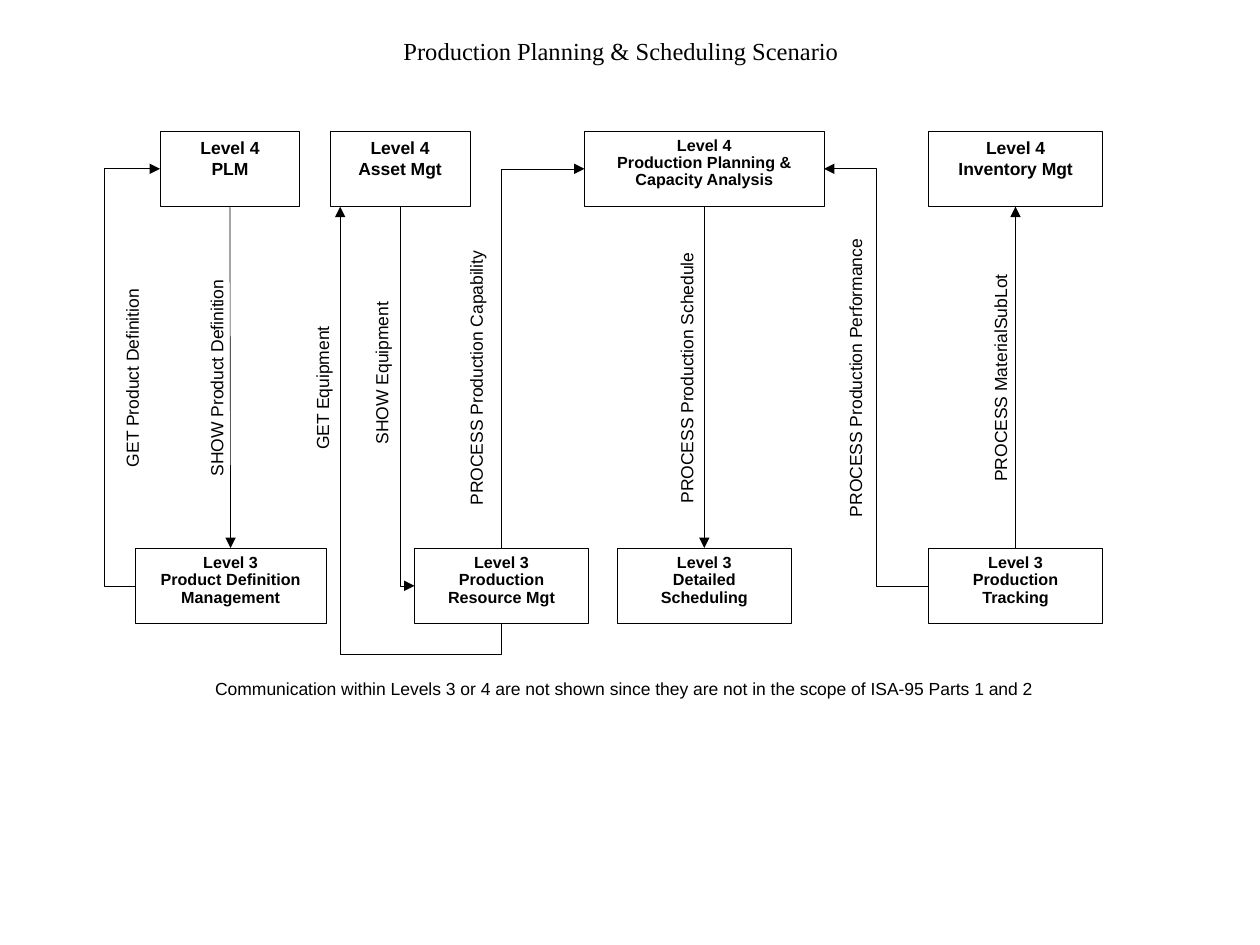
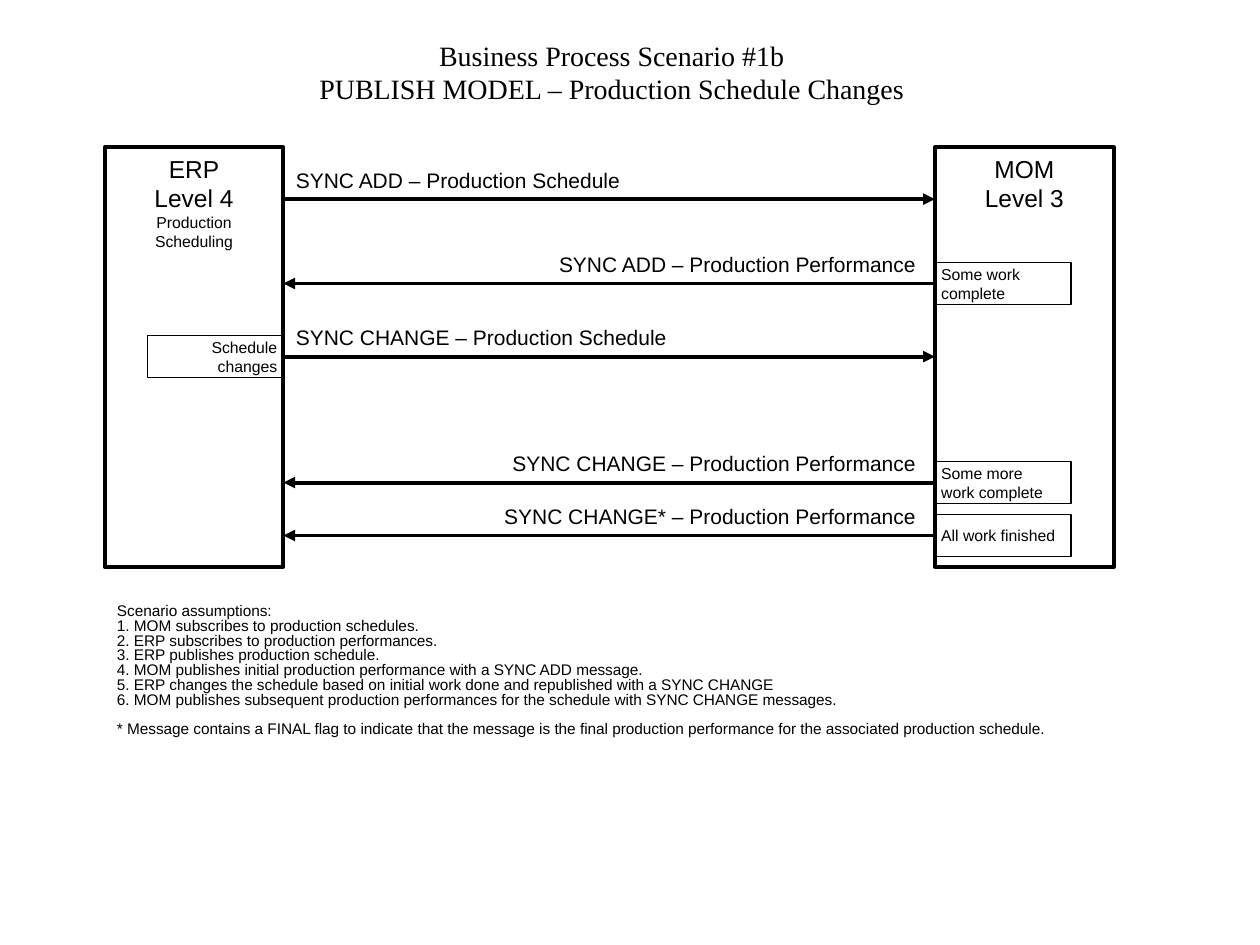
"""Builds two slides on production planning and schedule change messages."""
from dataclasses import dataclass

from lxml.etree import SubElement
from pptx import Presentation
from pptx.dml.color import RGBColor
from pptx.enum.shapes import MSO_CONNECTOR as CONNECTOR, MSO_SHAPE as SHAPE
from pptx.enum.text import MSO_ANCHOR as ANCHOR, MSO_AUTO_SIZE as AUTO_SIZE, PP_ALIGN as ALIGN
from pptx.oxml.ns import qn
from pptx.util import Inches, Pt


@dataclass(frozen=True)
class Theme:
    ink: RGBColor = RGBColor(0, 0, 0)
    paper: RGBColor = RGBColor(255, 255, 255)
    title_font: str = "Times New Roman"
    body_font: str = "Arial"
    scenario_title: float = 14
    model_title: float = 16
    system: float = 14
    message: float = 12
    body: float = 10
    compact: float = 9.2
    status: float = 9
    notes: float = 8.8
    thin: float = 0.37
    medium: float = 0.75
    thick: float = 2.25


theme = Theme()


def write_text(frame, lines, size, align=ALIGN.CENTER, anchor=ANCHOR.TOP,
               spacing=1.0, bold=False, font=theme.body_font):
    frame.word_wrap = True
    frame.auto_size = AUTO_SIZE.NONE
    frame.vertical_anchor = anchor
    for index, line in enumerate(lines):
        paragraph = frame.add_paragraph() if index else frame.paragraphs[0]
        paragraph.text = line
        paragraph.alignment = align
        paragraph.line_spacing = spacing
        paragraph.font.size = Pt(size)
        paragraph.font.name = font
        paragraph.font.bold = bold
        paragraph.font.color.rgb = theme.ink


def style_line(line_shape, width, arrow_end="tailEnd"):
    line_shape.line.color.rgb = theme.ink
    line_shape.line.width = Pt(width)
    properties = line_shape._element.spPr
    SubElement(properties.find(qn("a:ln")), qn(f"a:{arrow_end}"), type="triangle")
    if properties.find(qn("a:effectLst")) is None:
        SubElement(properties, qn("a:effectLst"))


deck = Presentation()
deck.slide_width, deck.slide_height = Inches(10), Inches(7.5)
title_only = deck.slide_layouts[5]

titles = [
    (["Production Planning & Scheduling Scenario"],
     theme.scenario_title, (1, 0.24, 7.86, 0.33)),
    (["Business Process Scenario #1b", "PUBLISH MODEL – Production Schedule Changes"],
     theme.model_title, (2.25, 0.25, 5.21, 0.64)),
]
for lines, size, place in titles:
    title = deck.slides.add_slide(title_only).shapes.title
    title.left, title.top, title.width, title.height = map(Inches, place)
    write_text(title.text_frame, lines, size, anchor=ANCHOR.MIDDLE, font=theme.title_font)
scenario, model = (slide.shapes for slide in deck.slides)

level_tops = {4: 1.04, 3: 4.35}
functions = [
    ("plm", 4, "PLM", 1.27, 1.11, False),
    ("asset", 4, "Asset Mgt", 2.62, 1.11, False),
    ("planning", 4, "Production Planning & Capacity Analysis", 4.64, 1.9, True),
    ("inventory", 4, "Inventory Mgt", 7.37, 1.38, False),
    ("definition", 3, "Product Definition Management", 1.07, 1.52, True),
    ("resource", 3, "Production Resource Mgt", 3.29, 1.38, True),
    ("scheduling", 3, "Detailed Scheduling", 4.9, 1.38, True),
    ("tracking", 3, "Production Tracking", 7.37, 1.38, True),
]
boxes = {}
for key, level, name, left, width, compact in functions:
    box = scenario.add_shape(SHAPE.RECTANGLE, Inches(left), Inches(level_tops[level]),
                             Inches(width), Inches(0.6))
    box.shadow.inherit = False
    box.fill.solid()
    box.fill.fore_color.rgb = theme.paper
    box.line.color.rgb = theme.ink
    box.line.width = Pt(theme.thin)
    write_text(box.text_frame, [f"Level {level}", name],
               theme.compact if compact else theme.body,
               spacing=0.9 if compact else 1.0, bold=True)
    boxes[key] = box

TOP, LEFT, BOTTOM, RIGHT = range(4)
flows = [
    ("plm", BOTTOM, "definition", TOP, "line", None, "tailEnd"),
    ("definition", LEFT, "plm", LEFT, "bentConnector3", -1.23, "tailEnd"),
    ("planning", LEFT, "resource", TOP, "bentConnector2", None, "headEnd"),
    ("planning", BOTTOM, "scheduling", TOP, "line", None, "tailEnd"),
    ("tracking", LEFT, "planning", RIGHT, "bentConnector3", 0.5, "tailEnd"),
    ("tracking", TOP, "inventory", BOTTOM, "line", None, "tailEnd"),
    ("resource", LEFT, "asset", BOTTOM, "bentConnector2", None, "headEnd"),
]
for source, source_side, target, target_side, route, bend, arrow_end in flows:
    kind = CONNECTOR.STRAIGHT if route == "line" else CONNECTOR.ELBOW
    flow = scenario.add_connector(kind, 0, 0, 0, 0)
    flow.begin_connect(boxes[source], source_side)
    flow.end_connect(boxes[target], target_side)
    geometry = flow._element.spPr.find(qn("a:prstGeom"))
    geometry.set("prst", route)
    if bend is not None:
        SubElement(geometry.find(qn("a:avLst")), qn("a:gd"),
                   name="adj1", fmla=f"val {round(bend * 100000)}")
    style_line(flow, theme.thin, arrow_end)

route_start, *route_turns = [(Inches(x), Inches(y)) for x, y in
                             [(3.98, 4.95), (3.98, 5.19), (2.7, 5.19), (2.7, 1.64)]]
equipment_route = scenario.build_freeform(*route_start)
equipment_route.add_line_segments(route_turns, close=False)
equipment_request = equipment_route.convert_to_shape()
equipment_request.fill.background()
equipment_request.shadow.inherit = False
style_line(equipment_request, theme.thin)

flow_labels = [
    ("GET Product Definition", 1.05, 3),
    ("SHOW Product Definition", 1.72, 3),
    ("GET Equipment", 2.56, 3.08),
    ("SHOW Equipment", 3.03, 2.96),
    ("PROCESS Production Capability", 3.78, 3),
    ("PROCESS Production Schedule", 5.45, 3),
    ("PROCESS Production Performance", 6.79, 3),
    ("PROCESS MaterialSubLot", 7.94, 3),
]
label_length, label_height = 2.6, 0.27
for text, center_x, center_y in flow_labels:
    flow_label = scenario.add_textbox(
        Inches(center_x - label_length / 2), Inches(center_y - label_height / 2),
        Inches(label_length), Inches(label_height))
    flow_label.rotation = 270
    write_text(flow_label.text_frame, [text], theme.body)

scope_note = scenario.add_textbox(Inches(1.61), Inches(5.33), Inches(7.2), Inches(0.27))
write_text(scope_note.text_frame,
           ["Communication within Levels 3 or 4 are not shown since they are not "
            "in the scope of ISA-95 Parts 1 and 2"], theme.body, ALIGN.LEFT)

erp_left, erp_edge, mom_edge, system_width = 0.83, 2.25, 7.42, 1.42
systems = [
    (erp_left, ["ERP", "Level 4", "Production Scheduling"]),
    (mom_edge, ["MOM", "Level 3"]),
]
for left, lines in systems:
    system = model.add_shape(SHAPE.RECTANGLE, Inches(left), Inches(1.17),
                             Inches(system_width), Inches(3.33))
    system.shadow.inherit = False
    system.fill.solid()
    system.fill.fore_color.rgb = theme.paper
    system.line.color.rgb = theme.ink
    system.line.width = Pt(theme.thick)
    write_text(system.text_frame, lines, theme.system)
    for detail in system.text_frame.paragraphs[2:]:
        detail.font.size = Pt(theme.status)

messages = [
    (1.58, "SYNC ADD – Production Schedule", True, []),
    (2.25, "SYNC ADD – Production Performance", False, ["Some work", "complete"]),
    (2.83, "SYNC CHANGE – Production Schedule", True, ["Schedule", "changes"]),
    (3.83, "SYNC CHANGE – Production Performance", False, ["Some more", "work complete"]),
    (4.25, "SYNC CHANGE* – Production Performance", False, ["All work finished"]),
]
message_width, status_width, status_height = 4, 1.08, 0.33
for y, text, from_erp, status_lines in messages:
    start, end = (erp_edge, mom_edge) if from_erp else (mom_edge, erp_edge)
    arrow = model.add_connector(CONNECTOR.STRAIGHT, Inches(start), Inches(y),
                                Inches(end), Inches(y))
    style_line(arrow, theme.thick)

    message_left = erp_edge if from_erp else mom_edge - 0.05 - message_width
    message = model.add_textbox(Inches(message_left), Inches(y - 0.3),
                                Inches(message_width), Inches(0.3))
    write_text(message.text_frame, [text], theme.message,
               ALIGN.LEFT if from_erp else ALIGN.RIGHT)

    if status_lines:
        status_left = erp_edge - status_width if from_erp else mom_edge
        status = model.add_shape(SHAPE.RECTANGLE, Inches(status_left),
                                 Inches(y - status_height / 2),
                                 Inches(status_width), Inches(status_height))
        status.shadow.inherit = False
        status.fill.background()
        status.line.color.rgb = theme.ink
        status.line.width = Pt(theme.medium)
        status.text_frame.margin_left = status.text_frame.margin_right = Inches(0.05)
        write_text(status.text_frame, status_lines, theme.status,
                   ALIGN.RIGHT if from_erp else ALIGN.LEFT, ANCHOR.MIDDLE)

assumptions = model.add_textbox(Inches(erp_left), Inches(4.75), Inches(8), Inches(1.5))
write_text(assumptions.text_frame, [
    "Scenario assumptions:",
    "1. MOM subscribes to production schedules.",
    "2. ERP subscribes to production performances.",
    "3. ERP publishes production schedule.",
    "4. MOM publishes initial production performance with a SYNC ADD message.",
    "5. ERP changes the schedule based on initial work done and republished with a SYNC CHANGE",
    "6. MOM publishes subsequent production performances for the schedule with SYNC CHANGE messages.",
    "* Message contains a FINAL flag to indicate that the message is the final production "
    "performance for the associated production schedule.",
], theme.notes, ALIGN.LEFT, spacing=0.8)
assumptions.text_frame.paragraphs[-1].space_before = Pt(8.4)

deck.save("out.pptx")
